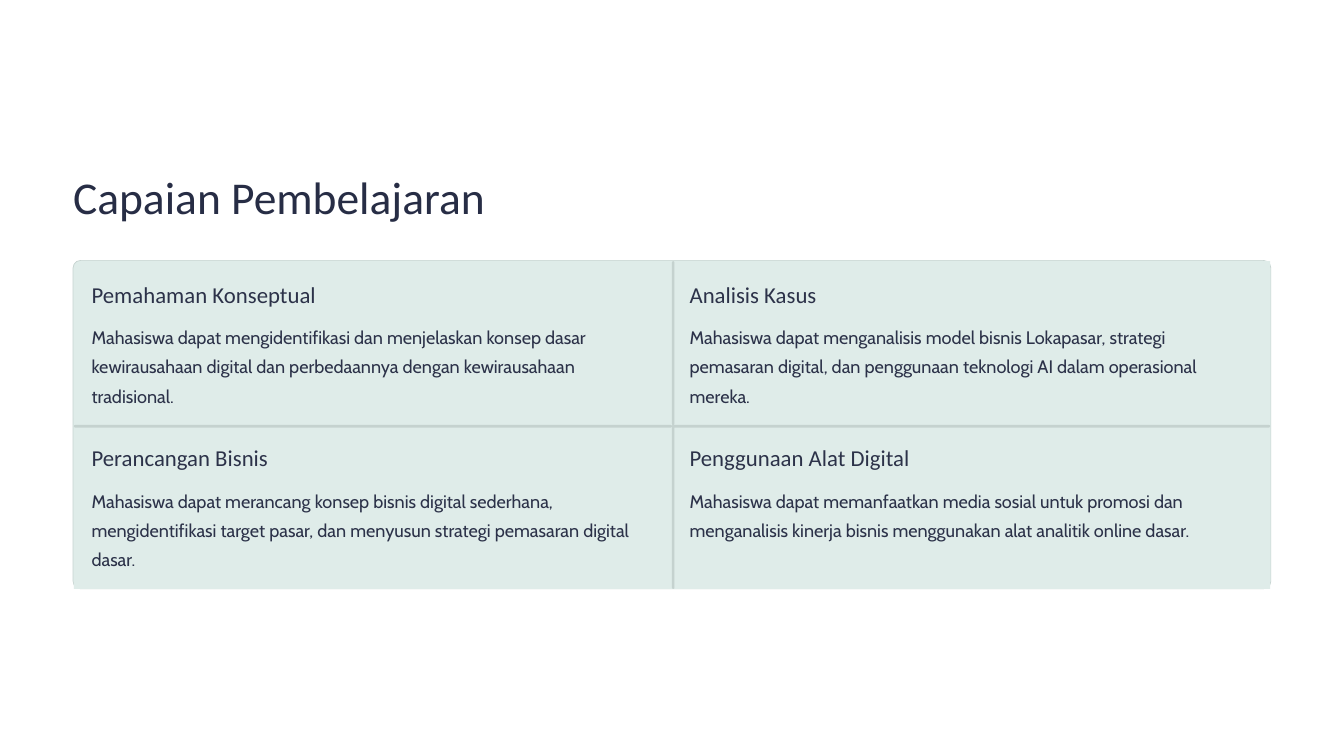
from dataclasses import dataclass

from pptx import Presentation
from pptx.dml.color import RGBColor
from pptx.enum.shapes import MSO_SHAPE
from pptx.util import Emu, Pt

RECT = MSO_SHAPE.RECTANGLE
ROUND = MSO_SHAPE.ROUNDED_RECTANGLE
PX = 9144


@dataclass(frozen=True)
class Theme:
    background: str = "FFFFFF"
    panel: str = "DFECE9"
    rule: str = "C5D2CF"
    title: tuple = (39, "Calibri", "272D45", 48.5)
    heading: tuple = (19.5, "Calibri", "2C3249", 24)
    body: tuple = (15.5, "Cabin", "2C3249", 25)


class SlideBuilder:
    def __init__(self, prs, theme):
        self.theme = theme
        self.s = prs.slides.add_slide(prs.slide_layouts[6])
        fill = self.s.background.fill
        fill.solid()
        fill.fore_color.rgb = RGBColor.from_string(theme.background)

    def box(self, x, y, w, h, color, kind=RECT, radius=None, outline=None):
        sp = self.s.shapes.add_shape(kind, *(Emu(v * PX) for v in (x, y, w, h)))
        sp.shadow.inherit = False
        sp.fill.solid()
        sp.fill.fore_color.rgb = RGBColor.from_string(color)
        if radius is not None:
            sp.adjustments[0] = radius
        if outline:
            sp.line.color.rgb = RGBColor.from_string(outline)
            sp.line.width = Pt(0.6)
        else:
            sp.line.fill.background()

    def rule(self, x, y, w, h):
        self.box(x, y, w, h, self.theme.rule, ROUND, 0.5)

    def text(self, x, y, w, h, text, style, wrap=False):
        size, name, color, spacing = style
        tf = self.s.shapes.add_textbox(*(Emu(v * PX) for v in (x, y, w, h))).text_frame
        frame = {"margin_left": 0, "margin_top": 0, "margin_right": 0,
                 "margin_bottom": 0, "word_wrap": wrap}
        for key, value in frame.items():
            setattr(tf, key, value)
        p = tf.paragraphs[0]
        p.line_spacing = Pt(spacing)
        r = p.add_run()
        r.text = text
        for key, value in {"size": Pt(size), "name": name}.items():
            setattr(r.font, key, value)
        r.font.color.rgb = RGBColor.from_string(color)


OUTCOMES = [
    ("Pemahaman Konseptual",
     "Mahasiswa dapat mengidentifikasi dan menjelaskan konsep dasar kewirausahaan "
     "digital dan perbedaannya dengan kewirausahaan tradisional."),
    ("Analisis Kasus",
     "Mahasiswa dapat menganalisis model bisnis Lokapasar, strategi pemasaran digital, "
     "dan penggunaan teknologi AI dalam operasional mereka."),
    ("Perancangan Bisnis",
     "Mahasiswa dapat merancang konsep bisnis digital sederhana, mengidentifikasi "
     "target pasar, dan menyusun strategi pemasaran digital dasar."),
    ("Penggunaan Alat Digital",
     "Mahasiswa dapat memanfaatkan media sosial untuk promosi dan menganalisis "
     "kinerja bisnis menggunakan alat analitik online dasar."),
]
LEFT, TOP, CELL_W, CELL_H, RULE = 88, 311, 712, 195, 3


def main():
    prs = Presentation()
    prs.slide_width, prs.slide_height = Emu(1600 * PX), Emu(900 * PX)
    theme = Theme()
    b = SlideBuilder(prs, theme)
    b.text(87, 199, 543, 68, "Capaian Pembelajaran", theme.title)
    b.box(87, 310, 1426, 391, theme.panel, ROUND, 0.023, theme.rule)
    for i, (heading, body) in enumerate(OUTCOMES):
        row, col = divmod(i, 2)
        x, y = LEFT + col * CELL_W, TOP + row * CELL_H
        if i == 0:
            b.box(x, y, CELL_W, CELL_H, theme.panel, ROUND, 0.047)
        else:
            b.box(x, y, CELL_W, CELL_H, theme.panel)
        if col:
            b.rule(x, y, RULE, CELL_H)
        if row:
            b.rule(x, y, CELL_W, RULE)
        b.text(x + 21, y + 22, 290, 34, heading, theme.heading)
        b.text(x + 21, y + 69, 669, 104, body, theme.body, wrap=True)
    prs.save("out.pptx")


if __name__ == "__main__":
    main()
